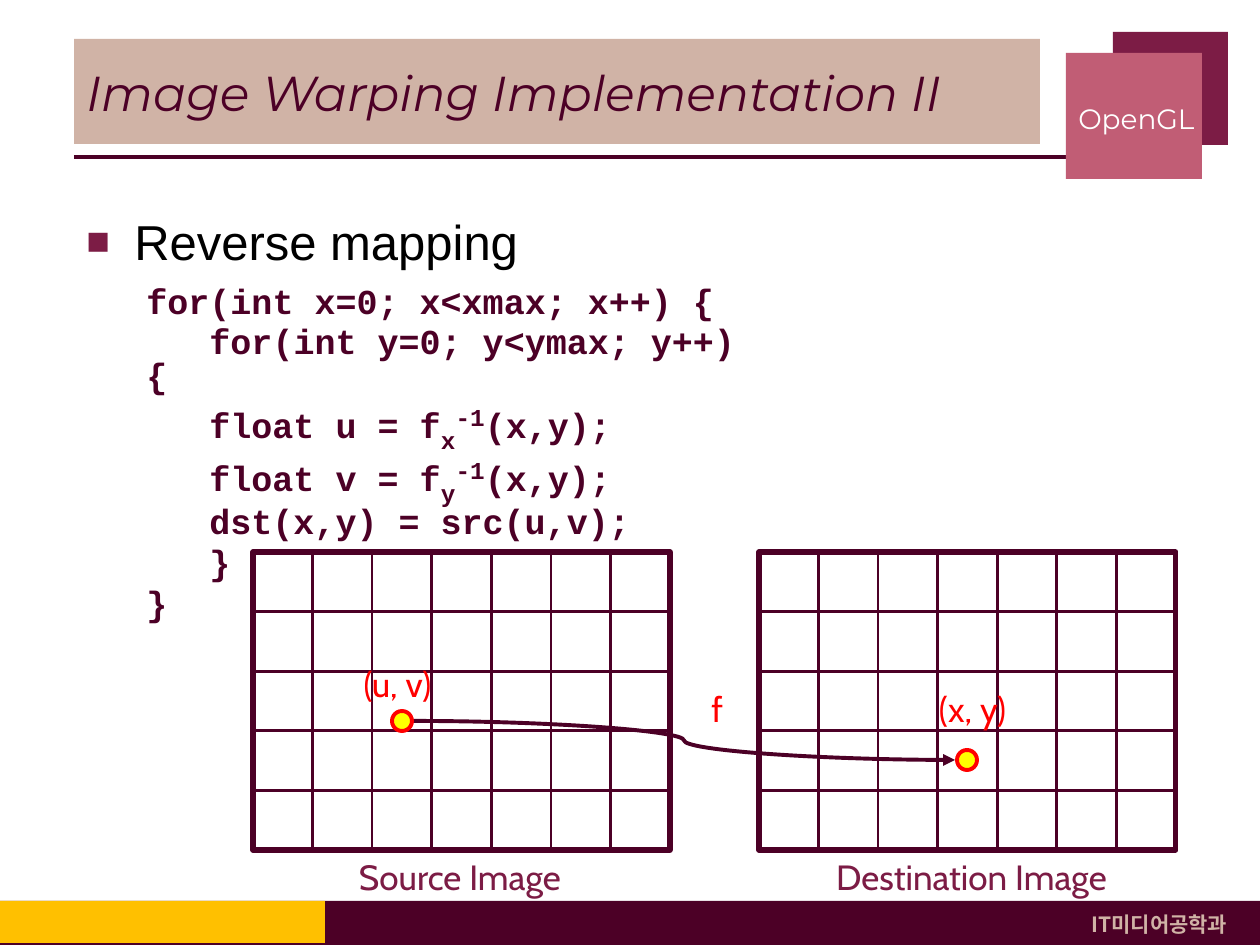
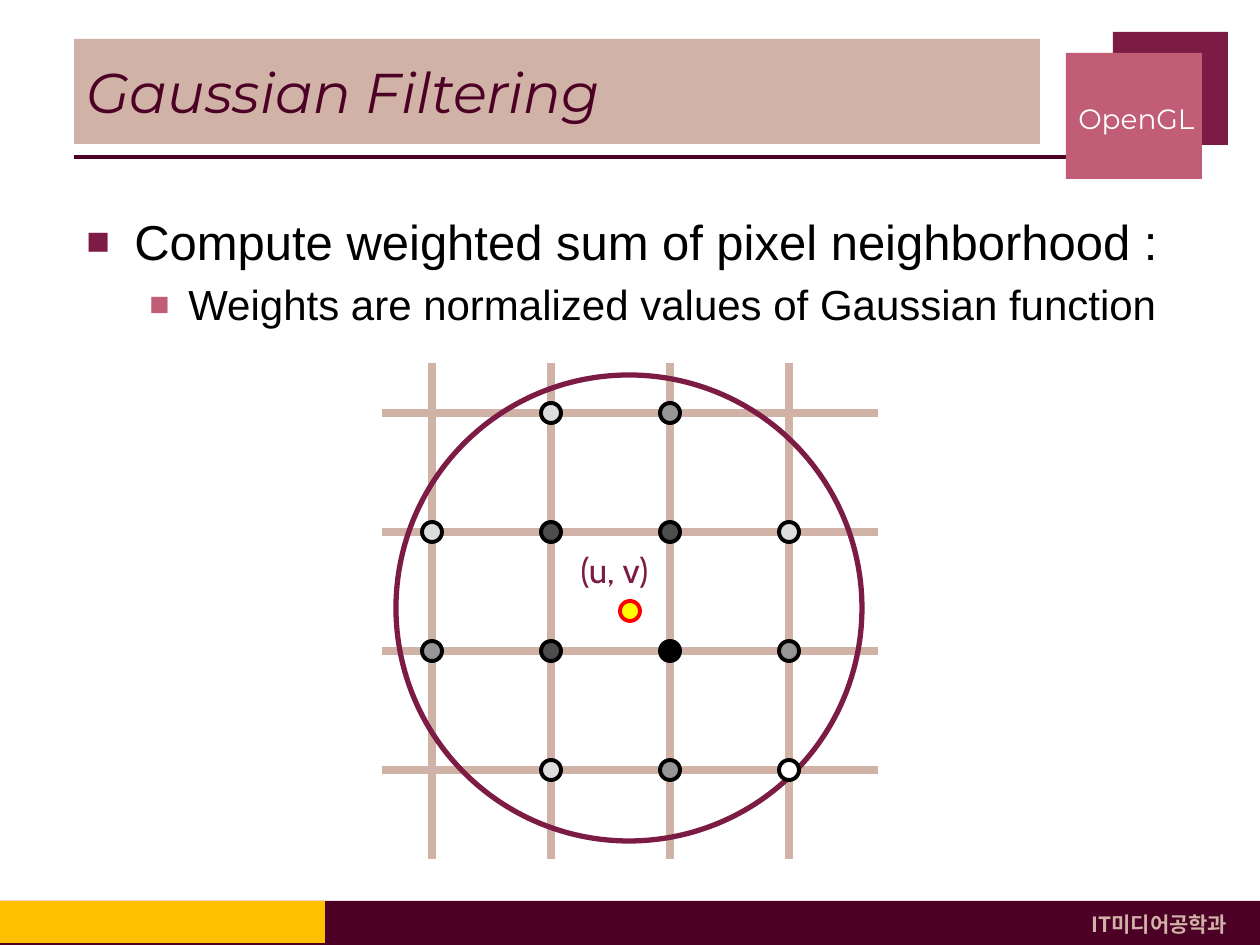
import pptx
import pptx.util
import pptx.dml.color
import pptx.enum.shapes
import pptx.enum.text
import pptx.oxml
import pptx.oxml.ns
from lxml import etree

SCALE = 914400 / 126
COLORS = {
    "plum": "4C0026", "wine": "7C1C45", "rose": "C15D75", "sand": "D0B3A6",
    "gold": "FFC000", "yellow": "FFFF00", "red": "FF0000", "white": "FFFFFF",
    "black": "000000", "dark": "4D4D4D", "middle": "969696", "light": "DDDDDD",
}
RECT = pptx.enum.shapes.MSO_SHAPE.RECTANGLE
OVAL = pptx.enum.shapes.MSO_SHAPE.OVAL
STRAIGHT = pptx.enum.shapes.MSO_CONNECTOR.STRAIGHT
CURVE = pptx.enum.shapes.MSO_CONNECTOR.CURVE
TEXT = "text"
LEFT = pptx.enum.text.PP_ALIGN.LEFT
CENTER = pptx.enum.text.PP_ALIGN.CENTER
RIGHT = pptx.enum.text.PP_ALIGN.RIGHT
TOP = pptx.enum.text.MSO_ANCHOR.TOP
MIDDLE = pptx.enum.text.MSO_ANCHOR.MIDDLE


def draw(page, kind, area, fill=None, line=None, weight=0):
    lengths = [round(value * SCALE) for value in area]
    if kind == TEXT:
        return page.shapes.add_textbox(*lengths)
    if isinstance(kind, pptx.enum.shapes.MSO_CONNECTOR):
        shape = page.shapes.add_connector(kind, *lengths)
        etree.SubElement(shape._element.spPr, pptx.oxml.ns.qn("a:effectLst"))
    else:
        shape = page.shapes.add_shape(kind, *lengths)
        shape.shadow.inherit = False
        if fill:
            shape.fill.solid()
            shape.fill.fore_color.rgb = pptx.dml.color.RGBColor.from_string(COLORS[fill])
        else:
            shape.fill.background()
    if line:
        shape.line.color.rgb = pptx.dml.color.RGBColor.from_string(COLORS[line])
        shape.line.width = pptx.util.Pt(weight)
    else:
        shape.line.fill.background()
    return shape


def write(shape, text, size=20, font="Cabin", color="plum", bold=False, italic=False,
          align=LEFT, anchor=TOP, wrap=False, spacing=None, bullet=None, level=0, indent=(0, 0)):
    frame = shape.text_frame
    frame.word_wrap = wrap
    frame.vertical_anchor = anchor
    if frame.text:
        para = frame.add_paragraph()
        para.space_before = pptx.util.Pt(size * 0.2)
    else:
        para = frame.paragraphs[0]
    para.alignment = align
    para.level = level
    if spacing:
        para.line_spacing = spacing
    if bullet:
        props = para._p.get_or_add_pPr()
        props.set("marL", str(round(indent[0] * SCALE)))
        props.set("indent", str(round(indent[1] * SCALE)))
        namespace = pptx.oxml.ns.nsdecls("a")
        for part in (
            f'<a:buClr {namespace}><a:srgbClr val="{COLORS[bullet]}"/></a:buClr>',
            f'<a:buSzPct {namespace} val="80000"/>',
            f'<a:buFont {namespace} typeface="Arial"/>',
            f'<a:buChar {namespace} char="■"/>',
        ):
            props.append(pptx.oxml.parse_xml(part))
    pieces = [(text, size, 0)] if isinstance(text, str) else text
    for words, points, baseline in pieces:
        span = para.add_run()
        span.text = words
        span.font.size = pptx.util.Pt(points)
        span.font.name = font
        span.font.bold = bold
        span.font.italic = italic
        span.font.color.rgb = pptx.dml.color.RGBColor.from_string(COLORS[color])
        props = span._r.get_or_add_rPr()
        etree.SubElement(props, pptx.oxml.ns.qn("a:ea")).set("typeface", font)
        if baseline:
            props.set("baseline", str(baseline * 1000))


deck = pptx.Presentation()
deck.slide_width = round(1260 * SCALE)
deck.slide_height = round(945 * SCALE)

bullet_styles = [
    {"size": 28, "bullet": "wine", "indent": (48, -48)},
    {"size": 24, "bullet": "rose", "indent": (102, -39), "level": 1},
]
outlines = [
    ("Image Warping Implementation II", 28, ["Reverse mapping"]),
    ("Gaussian Filtering", 32, [
        "Compute weighted sum of pixel neighborhood :",
        "Weights are normalized values of Gaussian function",
    ]),
]
pages = []
for title, title_size, points in outlines:
    page = deck.slides.add_slide(deck.slide_layouts[6])
    pages.append(page)
    draw(page, STRAIGHT, (74, 157, 1071, 157), line="plum", weight=2.25)
    draw(page, RECT, (1113, 32, 115, 113), fill="wine")
    draw(page, RECT, (1066, 53, 136, 126), fill="rose")
    draw(page, RECT, (0, 901, 1260, 44), fill="plum")
    department = draw(page, RECT, (1060, 905, 199, 37), fill="plum")
    write(department, "IT미디어공학과", size=12, font="Noto Sans CJK KR", color="sand",
          bold=True, align=CENTER, wrap=True)
    draw(page, RECT, (0, 901, 325, 42), fill="gold")
    badge = draw(page, TEXT, (1066, 76, 141, 84))
    write(badge, "OpenGL", size=16, font="Montserrat", color="white", align=RIGHT, anchor=MIDDLE)
    band = draw(page, RECT, (74, 39, 966, 105), fill="sand")
    write(band, title, size=title_size, font="Montserrat", italic=True, anchor=MIDDLE, wrap=True)
    body = draw(page, TEXT, (74, 205, 1124, 677))
    for point, style in zip(points, bullet_styles):
        write(body, point, font="Arial", color="black", wrap=True, **style)

warping, filtering = pages

code = draw(warping, TEXT, (134, 281, 652, 299))
code_lines = ["for(int x=0; x<xmax; x++) {", "   for(int y=0; y<ymax; y++) {"]
for target, axis in (("u", "x"), ("v", "y")):
    code_lines.append([(f"\tfloat {target} = f", 20, 0), (axis, 24, -25), ("-1", 24, 30), ("(x,y);", 20, 0)])
code_lines += ["\tdst(x,y) = src(u,v);", "   }", "}"]
for code_line in code_lines:
    write(code, code_line, font="Courier New", bold=True, wrap=True, spacing=0.8)

columns, rows = 7, 5
grid_top, grid_width, grid_height = 552, 417, 298
for grid_left in (253, 759):
    draw(warping, RECT, (grid_left, grid_top, grid_width, grid_height), line="plum", weight=3)
    for row in range(rows):
        for column in range(columns):
            cell_left = grid_left + grid_width * column / columns
            cell_top = grid_top + grid_height * row / rows
            draw(warping, RECT, (cell_left, cell_top, grid_width / columns, grid_height / rows),
                 line="plum", weight=1.5)

draw(warping, OVAL, (957, 750, 20, 20), fill="yellow", line="red", weight=2.25)
mapping = draw(warping, CURVE, (413, 721, 955, 760), line="plum", weight=2.25)
arrowhead = etree.SubElement(mapping.line._get_or_add_ln(), pptx.oxml.ns.qn("a:tailEnd"))
arrowhead.set("type", "triangle")
draw(warping, OVAL, (392, 711, 20, 20), fill="yellow", line="red", weight=2.25)

lattice_left, lattice_top, pitch = 432, 413, 119
for step in range(4):
    x = lattice_left + pitch * step
    draw(filtering, STRAIGHT, (x, 363, x, 859), line="sand", weight=4.5)
for step in range(4):
    y = lattice_top + pitch * step
    draw(filtering, STRAIGHT, (382, y, 878, y), line="sand", weight=4.5)
draw(filtering, OVAL, (620, 601, 20, 20), fill="yellow", line="red", weight=2.25)

labels = [
    (warping, "Source Image", (340, 849, 240, 54), "wine"),
    (warping, "Destination Image", (817, 849, 309, 54), "wine"),
    (warping, "(u, v)", (342, 656, 111, 54), "red"),
    (warping, "(x, y)", (918, 681, 109, 54), "red"),
    (warping, "f", (699, 681, 36, 54), "red"),
    (filtering, "(u, v)", (559, 542, 111, 54), "wine"),
]
for page, label, area, color in labels:
    write(draw(page, TEXT, area), label, color=color, align=CENTER)

draw(filtering, OVAL, (396, 375, 466, 466), line="wine", weight=3)
weights = [
    [None, "light", "middle", None],
    ["light", "dark", "dark", "light"],
    ["middle", "dark", "black", "middle"],
    [None, "light", "middle", "white"],
]
for row, shades in enumerate(weights):
    for column, shade in enumerate(shades):
        if shade:
            area = (lattice_left + pitch * column - 10, lattice_top + pitch * row - 10, 20, 20)
            draw(filtering, OVAL, area, fill=shade, line="black", weight=2.25)

deck.save("out.pptx")
